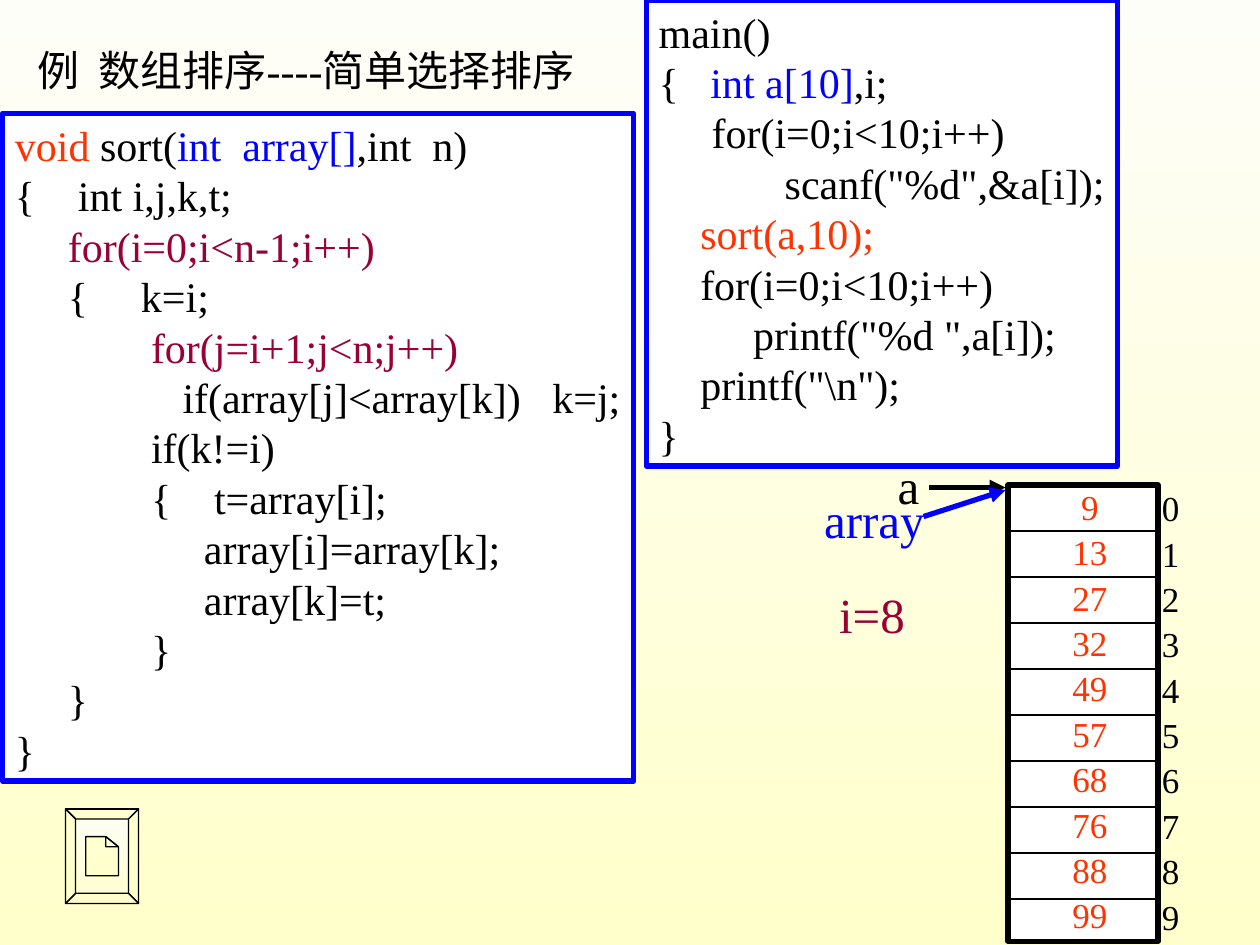
from lxml import etree
from pptx import Presentation
from pptx import util as u
from pptx.dml.color import RGBColor
from pptx.enum import shapes, text
from pptx.oxml.ns import qn

HUES = {"ink": "000000", "blue": "0000FF", "red": "FF3300", "wine": "990033",
        "white": "FFFFFF", "pale": "FEFEF8", "cream": "FFFFCC"}
FONT = "Times New Roman"

# Each code line: left edge of its text, width of its hanging brace, (text, hue) runs
SORT = [
    (0, 0, [("void", "red"), (" sort(", "ink"), ("int  array[]", "blue"), (",int  n)", "ink")]),
    (0.5, 0.5, [("{\tint i,j,k,t;", "ink")]),
    (0.42, 0, [("for(i=0;i<n-1;i++)", "wine")]),
    (1, 0.58, [("{\tk=i;", "ink")]),
    (1.08, 0, [("for(j=i+1;j<n;j++)", "wine")]),
    (1.33, 0, [("if(array[j]<array[k])   k=j;", "ink")]),
    (1.08, 0, [("if(k!=i)", "ink")]),
    (1.58, 0.5, [("{\tt=array[i];", "ink")]),
    (1.5, 0, [("array[i]=array[k];", "ink")]),
    (1.5, 0, [("array[k]=t;", "ink")]),
    (1.08, 0, [("}", "ink")]),
    (0.42, 0, [("}", "ink")]),
    (0, 0, [("}", "ink")]),
]
MAIN = [
    (0, 0, [("main()", "ink")]),
    (0.41, 0.41, [("{\t", "ink"), ("int a[10]", "blue"), (",i;", "ink")]),
    (0.42, 0, [("for(i=0;i<10;i++)", "ink")]),
    (1, 0, [('scanf("%d",&a[i]);', "ink")]),
    (0.33, 0, [("sort(a,10);", "red")]),
    (0.33, 0, [("for(i=0;i<10;i++)", "ink")]),
    (0.75, 0, [('printf("%d ",a[i]);', "ink")]),
    (0.33, 0, [('printf("\\n");', "ink")]),
    (0, 0, [("}", "ink")]),
]
DATA = [9, 13, 27, 32, 49, 57, 68, 76, 88, 99]


def rgb(hue):
    return RGBColor.from_string(HUES[hue])


def box(*nums):
    return [u.Inches(n) for n in nums]


def fade(fill):
    """Gradient from pale at the top to cream at the bottom."""
    fill.gradient()
    fill.gradient_angle = 270
    for stop, pos, hue in zip(fill.gradient_stops, (0, 1), ("pale", "cream")):
        stop.position = pos
        stop.color.rgb = rgb(hue)


class Deck:
    def __init__(self):
        self.prs = Presentation()
        self.prs.slide_width, self.prs.slide_height = box(10, 7.5)
        self.slide = self.prs.slides.add_slide(self.prs.slide_layouts[5])
        self.items = self.slide.shapes
        fade(self.slide.background.fill)

    def style(self, para, size, hue=None):
        para.font.name = FONT
        para.font.size = u.Pt(size)
        if hue:
            para.font.color.rgb = rgb(hue)

    def title(self, words, *area):
        head = self.items.title
        head.left, head.top, head.width, head.height = box(*area)
        frame = head.text_frame
        frame.text = words
        frame.word_wrap = False
        frame.margin_right = 0
        frame.auto_size = text.MSO_AUTO_SIZE.NONE
        frame.vertical_anchor = text.MSO_ANCHOR.TOP
        para = frame.paragraphs[0]
        para.alignment = text.PP_ALIGN.LEFT
        self.style(para, 24, "ink")

    def label(self, words, mid, top, size, hue, wide):
        """Text centred on the x position mid."""
        high = 0.44 if size == 20 else 0.57
        note = self.items.add_textbox(*box(mid - wide / 2, top, wide, high))
        frame = note.text_frame
        frame.word_wrap = False
        frame.vertical_anchor = text.MSO_ANCHOR.MIDDLE
        para = frame.paragraphs[0]
        para.text = str(words)
        para.alignment = text.PP_ALIGN.CENTER
        self.style(para, size, hue)

    def rect(self, hue, *area):
        shape = self.items.add_shape(shapes.MSO_SHAPE.RECTANGLE, *box(*area))
        shape.shadow.inherit = False
        shape.fill.solid()
        shape.fill.fore_color.rgb = rgb("white")
        shape.line.color.rgb = rgb(hue)
        shape.line.width = u.Pt(3)
        return shape

    def code(self, lines, *area):
        frame = self.rect("blue", *area).text_frame
        frame.word_wrap = True
        frame.margin_right = 0
        frame.vertical_anchor = text.MSO_ANCHOR.TOP
        for i, (left, hang, runs) in enumerate(lines):
            para = frame.add_paragraph() if i else frame.paragraphs[0]
            para.alignment = text.PP_ALIGN.LEFT
            para.line_spacing = u.Pt(28.8)
            self.style(para, 24)
            props = para._p.get_or_add_pPr()
            props.set("marL", str(u.Inches(left)))
            props.set("indent", str(-u.Inches(hang)))
            for words, hue in runs:
                run = para.add_run()
                run.text = words
                run.font.color.rgb = rgb(hue)

    def line(self, *ends, hue="ink", width=0.75, arrow=False):
        link = self.items.add_connector(shapes.MSO_CONNECTOR.STRAIGHT, *box(*ends))
        link.line.color.rgb = rgb(hue)
        link.line.width = u.Pt(width)
        if arrow:
            etree.SubElement(link.line._get_or_add_ln(), qn("a:tailEnd"), type="triangle")
        etree.SubElement(link._element.spPr, qn("a:effectLst"))

    def button(self, left, top, right, low, rim):
        """Bevelled frame around a page with a folded corner."""
        outer = [(left, top), (right, top), (right, low), (left, low)]
        inner = [(left + rim, top + rim), (right - rim, top + rim),
                 (right - rim, low - rim), (left + rim, low - rim)]
        rings = [outer]
        for i in range(4):
            j = (i + 1) % 4
            rings.append([outer[i], outer[j], inner[j], inner[i]])
        rings.append([(0.68, 6.64), (0.84, 6.64), (0.94, 6.72), (0.94, 6.95), (0.68, 6.95)])
        rings.append([(0.84, 6.64), (0.94, 6.72), (0.84, 6.72)])
        pen = self.items.build_freeform(*box(*outer[0]))
        for ring in rings:
            pen.move_to(*box(*ring[0]))
            pen.add_line_segments([box(*dot) for dot in ring[1:]], close=True)
        shape = pen.convert_to_shape()
        shape.shadow.inherit = False
        fade(shape.fill)
        shape.line.color.rgb = rgb("ink")
        shape.line.width = u.Pt(0.75)

    def array(self, left, top, wide, high):
        """Column of cells with values inside and indexes at the right."""
        self.rect("ink", left, top, wide, high)
        for i, value in enumerate(DATA):
            if i:
                y = top + 0.365 * i
                self.line(left, y, left + wide, y)
            y = top + 0.36 * i
            self.label(i, left + wide + 0.1, y - 0.04, 20, "ink", 0.34)
            self.label(value, left + 0.65, y - 0.05, 20, "red", 0.48)


def main():
    deck = Deck()
    deck.title("例  数组排序----简单选择排序", 0.2, 0.3, 4.8, 0.5)
    deck.array(8, 3.85, 1.19, 3.62)
    deck.line(7.37, 3.87, 7.98, 3.87, width=3, arrow=True)
    deck.label("a", 7.21, 3.56, 28, "ink", 0.37)
    deck.line(7.33, 4.1, 7.98, 3.89, hue="blue", width=3, arrow=True)
    deck.label("array", 6.94, 3.83, 28, "blue", 1)
    deck.label("i=8", 6.92, 4.59, 28, "wine", 0.72)
    deck.button(0.52, 6.42, 1.1, 7.17, 0.08)
    deck.code(SORT, 0.02, 0.9, 5.01, 5.3)
    deck.code(MAIN, 5.13, 0, 3.74, 3.7)
    deck.prs.save("out.pptx")


if __name__ == "__main__":
    main()
